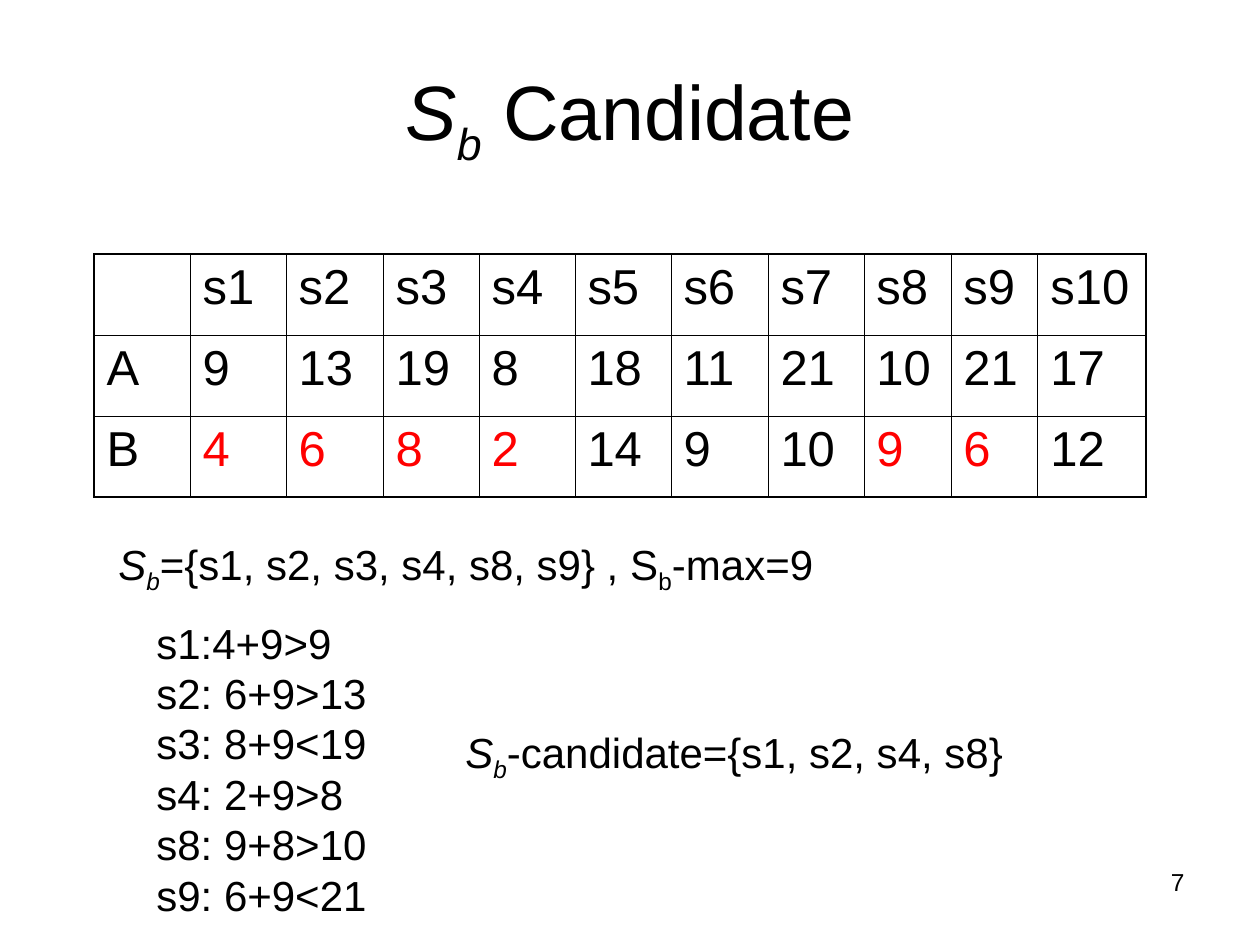
"""Build the Sb candidate slide: a score table, its checks and the result."""
from dataclasses import dataclass

from lxml.etree import SubElement
from pptx import Presentation
from pptx.dml.color import RGBColor
from pptx.enum.text import MSO_ANCHOR, MSO_AUTO_SIZE, PP_ALIGN
from pptx.oxml.ns import qn
from pptx.util import Emu, Pt

PX_PER_INCH = 126
FONT = "Arial"
BLACK = RGBColor(0x00, 0x00, 0x00)
RED = RGBColor(0xFF, 0x00, 0x00)
THICK, THIN = Pt(1.08), Pt(0.45)

COLUMN_WIDTHS = [96, 96, 97, 96] * 2 + [87, 87, 108]
ROW_HEIGHT = 81
SAMPLES = [f"s{number}" for number in range(1, 11)]
ROWS = [
    ["", *SAMPLES],
    ["A", "9", "13", "19", "8", "18", "11", "21", "10", "21", "17"],
    ["B", "4", "6", "8", "2", "14", "9", "10", "9", "6", "12"],
]
SELECTED = {"s1", "s2", "s3", "s4", "s8", "s9"}


@dataclass(frozen=True)
class Span:
    text: str
    italic: bool = False
    subscript: bool = False


@dataclass(frozen=True)
class TextBlock:
    left: int
    top: int
    width: int
    height: int
    size: int
    lines: list[list[Span]]
    align: PP_ALIGN = PP_ALIGN.LEFT
    anchor: MSO_ANCHOR = MSO_ANCHOR.TOP
    wrap: bool = False


SB = [Span("S", italic=True), Span("b", italic=True, subscript=True)]
CHECKS = ["s1:4+9>9", "s2: 6+9>13", "s3: 8+9<19", "s4: 2+9>8", "s8: 9+8>10", "s9: 6+9<21"]
TITLE = TextBlock(63, 38, 1134, 157, 44, [[*SB, Span(" Candidate")]],
                  PP_ALIGN.CENTER, MSO_ANCHOR.MIDDLE, True)
SET_LINE = [*SB, Span("={s1, s2, s3, s4, s8, s9} , S"), Span("b", subscript=True), Span("-max=9")]
TEXT_BLOCKS = [
    TITLE,
    TextBlock(106, 532, 724, 71, 24, [SET_LINE]),
    TextBlock(144, 611, 240, 315, 24, [[Span(check)] for check in CHECKS]),
    TextBlock(453, 720, 568, 71, 24, [[*SB, Span("-candidate={s1, s2, s4, s8}")]]),
    TextBlock(903, 861, 294, 66, 14, [[Span("7")]], PP_ALIGN.RIGHT, wrap=True),
]


def px(length: int) -> Emu:
    """Turn pixels into EMU."""
    return Emu(round(length * 914400 / PX_PER_INCH))


def add_span(paragraph, span: Span, size: int, color: RGBColor = BLACK) -> None:
    """Append one formatted run."""
    run = paragraph.add_run()
    run.text = span.text
    run.font.name = FONT
    run.font.size = Pt(size)
    run.font.italic = span.italic
    run.font.bold = False
    run.font.color.rgb = color
    if span.subscript:
        run._r.get_or_add_rPr().set("baseline", "-25000")


def add_text(slide, block: TextBlock) -> None:
    """Draw a text box, one paragraph for each line."""
    shape = slide.shapes.add_textbox(*map(px, (block.left, block.top, block.width, block.height)))
    frame = shape.text_frame
    frame.word_wrap = block.wrap
    frame.auto_size = MSO_AUTO_SIZE.NONE if block.wrap else MSO_AUTO_SIZE.SHAPE_TO_FIT_TEXT
    frame.vertical_anchor = block.anchor
    for index, line in enumerate(block.lines):
        paragraph = frame.add_paragraph() if index else frame.paragraphs[0]
        paragraph.alignment = block.align
        for span in line:
            add_span(paragraph, span, block.size)


def set_borders(cell, widths: dict[str, Emu]) -> None:
    """Draw black lines on the sides of a cell."""
    properties = cell._tc.get_or_add_tcPr()
    for side, width in widths.items():
        line = SubElement(properties, qn(f"a:ln{side}"), w=str(width))
        fill = SubElement(line, qn("a:solidFill"))
        SubElement(fill, qn("a:srgbClr"), val=str(BLACK))


def add_score_table(slide) -> None:
    """Draw the score table with a thicker outer frame."""
    last_row, last_column = len(ROWS) - 1, len(COLUMN_WIDTHS) - 1
    table = slide.shapes.add_table(
        len(ROWS), len(COLUMN_WIDTHS), px(94), px(254),
        px(sum(COLUMN_WIDTHS)), px(ROW_HEIGHT * len(ROWS))).table
    table.first_row = False
    table.horz_banding = False
    for column, width in zip(table.columns, COLUMN_WIDTHS):
        column.width = px(width)
    for row_index, values in enumerate(ROWS):
        table.rows[row_index].height = px(ROW_HEIGHT)
        for column_index, value in enumerate(values):
            cell = table.cell(row_index, column_index)
            set_borders(cell, {
                "L": THIN if column_index else THICK,
                "R": THICK if column_index == last_column else THIN,
                "T": THIN if row_index else THICK,
                "B": THICK if row_index == last_row else THIN,
            })
            cell.fill.background()
            selected = row_index == last_row and ROWS[0][column_index] in SELECTED
            if value:
                add_span(cell.text_frame.paragraphs[0], Span(value), 28, RED if selected else BLACK)


def main() -> None:
    """Build and save the slide."""
    presentation = Presentation()
    presentation.slide_width = px(1260)
    presentation.slide_height = px(945)
    slide = presentation.slides.add_slide(presentation.slide_layouts[6])
    for block in TEXT_BLOCKS:
        add_text(slide, block)
    add_score_table(slide)
    presentation.save("out.pptx")


if __name__ == "__main__":
    main()
